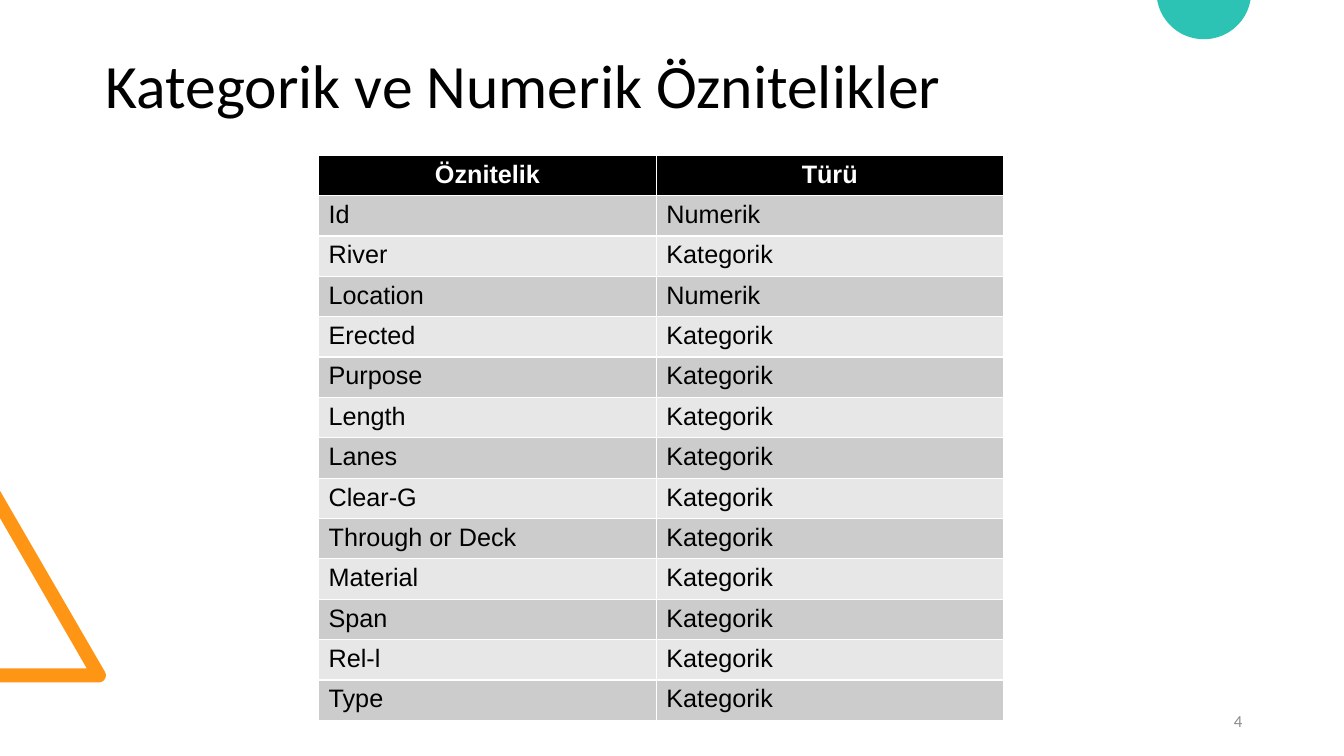
import math

from pptx import Presentation
from pptx import util as u
from pptx.dml.color import RGBColor
from pptx.enum import text

BLACK = RGBColor(0x00, 0x00, 0x00)
WHITE = RGBColor(0xFF, 0xFF, 0xFF)
GREY = RGBColor(0x8C, 0x8C, 0x8C)
DARK_BAND = RGBColor(0xCC, 0xCC, 0xCC)
LIGHT_BAND = RGBColor(0xE7, 0xE7, 0xE7)
ORANGE = RGBColor(0xFF, 0x95, 0x14)
TEAL = RGBColor(0x2C, 0xC3, 0xB4)

HEADER = ("Öznitelik", "Türü")
NUMERIC = {"Id", "Location"}
ATTRIBUTES = (
    "Id", "River", "Location", "Erected", "Purpose", "Length", "Lanes",
    "Clear-G", "Through or Deck", "Material", "Span", "Rel-l", "Type",
)


def arc(center_x, center_y, radius, start, end, steps):
    angles = [math.radians(start + (end - start) * i / steps) for i in range(steps + 1)]
    return [(center_x + radius * math.cos(a), center_y + radius * math.sin(a)) for a in angles]


def add_outline(slide, points, color):
    corners = [(u.Inches(x), u.Inches(y)) for x, y in points]
    builder = slide.shapes.build_freeform(*corners[0])
    builder.add_line_segments(corners[1:], close=True)
    shape = builder.convert_to_shape()
    shape.shadow.inherit = False
    shape.fill.solid()
    shape.fill.fore_color.rgb = color
    shape.line.fill.background()


def format_text(paragraph, font_name, size, color, alignment, bold=False):
    paragraph.alignment = alignment
    for run in paragraph.runs:
        run.font.name = font_name
        run.font.size = u.Pt(size)
        run.font.color.rgb = color
        run.font.bold = bold


def place(shape, left, top, width, height):
    shape.left, shape.top = u.Inches(left), u.Inches(top)
    shape.width, shape.height = u.Inches(width), u.Inches(height)


def set_title(slide, wording):
    title = slide.shapes.title
    place(title, 0.95, 0.41, 11.22, 0.94)
    frame = title.text_frame
    frame.text = wording
    frame.vertical_anchor = text.MSO_ANCHOR.MIDDLE
    frame.paragraphs[0].line_spacing = 0.9
    format_text(frame.paragraphs[0], "Calibri", 44, BLACK, text.PP_ALIGN.LEFT)


def add_page_number(slide, number):
    box = slide.shapes.add_textbox(u.Inches(9.42), u.Inches(6.95), u.Inches(3), u.Inches(0.4))
    frame = box.text_frame
    frame.word_wrap = True
    frame.text = number
    frame.vertical_anchor = text.MSO_ANCHOR.MIDDLE
    format_text(frame.paragraphs[0], "Calibri", 12, GREY, text.PP_ALIGN.RIGHT)


def fill_cell(cell, wording, row):
    is_header = row == 0
    cell.text = wording
    cell.fill.solid()
    cell.fill.fore_color.rgb = BLACK if is_header else DARK_BAND if row % 2 else LIGHT_BAND
    format_text(
        cell.text_frame.paragraphs[0], "Arial", 18,
        WHITE if is_header else BLACK,
        text.PP_ALIGN.CENTER if is_header else text.PP_ALIGN.LEFT,
        bold=is_header,
    )


def add_attribute_table(slide):
    rows = [HEADER] + [
        (name, "Numerik" if name in NUMERIC else "Kategorik") for name in ATTRIBUTES
    ]
    table = slide.shapes.add_table(
        len(rows), len(HEADER),
        u.Inches(3.16), u.Inches(1.54), u.Inches(6.79), u.Inches(5.61),
    ).table
    for column, width in zip(table.columns, (3.35, 3.44)):
        column.width = u.Inches(width)
    for row, wordings in enumerate(rows):
        for column, wording in enumerate(wordings):
            fill_cell(table.cell(row, column), wording, row)


def main():
    presentation = Presentation()
    presentation.slide_width = u.Inches(13.33)
    presentation.slide_height = u.Inches(7.5)
    slide = presentation.slides.add_slide(presentation.slide_layouts[5])

    triangle = [(0, 6.77), (0, 6.63), (0.86, 6.63), (0, 5.14), (0, 4.87)]
    add_outline(slide, triangle + arc(0.98, 6.7, 0.07, -30, 90, 12), ORANGE)
    add_outline(slide, arc(11.94, -0.08, 0.47, 10, 170, 48), TEAL)
    set_title(slide, "Kategorik ve Numerik Öznitelikler")
    add_page_number(slide, "4")
    add_attribute_table(slide)

    presentation.save("out.pptx")


if __name__ == "__main__":
    main()
